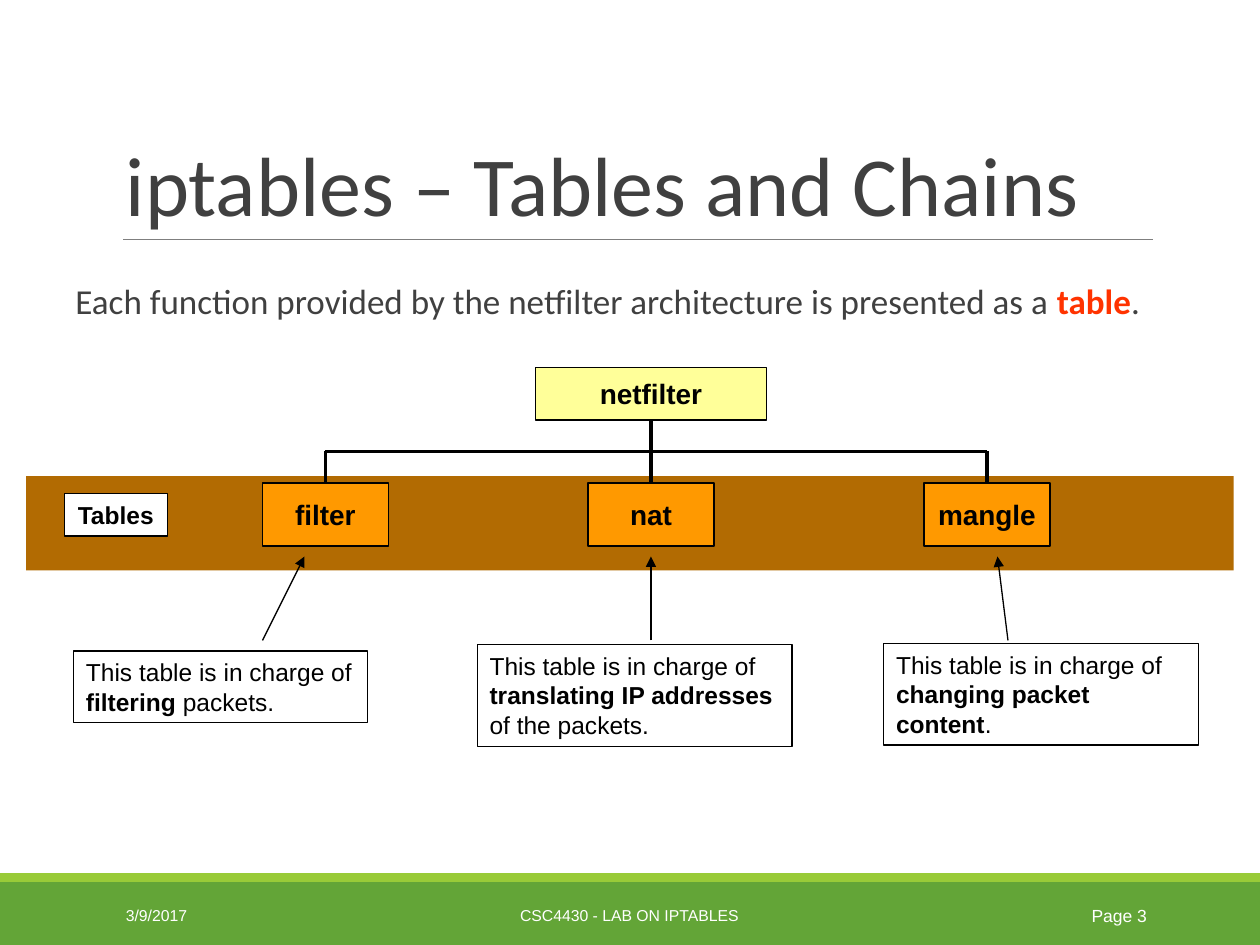
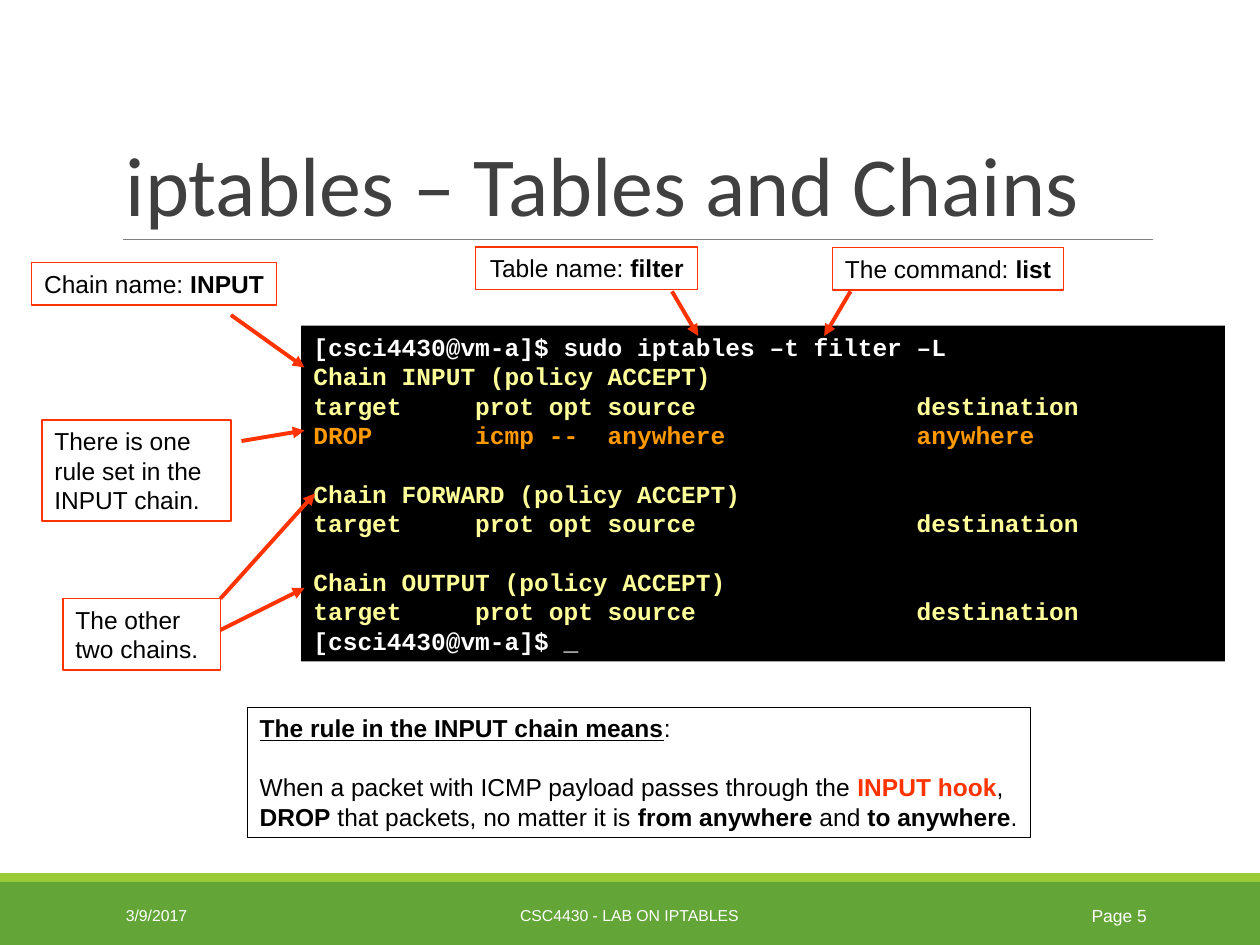
"""Builds two slides on iptables tables and chains."""
from lxml import etree
from pptx import Presentation
from pptx.dml.color import RGBColor
from pptx.enum.shapes import MSO_CONNECTOR, MSO_SHAPE
from pptx.enum.text import MSO_ANCHOR, PP_ALIGN
from pptx.oxml.ns import qn
from pptx.util import Pt

RECT, STRAIGHT = MSO_SHAPE.RECTANGLE, MSO_CONNECTOR.STRAIGHT
TOP, MIDDLE, BOTTOM = MSO_ANCHOR.TOP, MSO_ANCHOR.MIDDLE, MSO_ANCHOR.BOTTOM
LEFT, CENTER, RIGHT = PP_ALIGN.LEFT, PP_ALIGN.CENTER, PP_ALIGN.RIGHT
BLACK, WHITE, GREY = "000000", "FFFFFF", "404040"
RED, ORANGE, YELLOW, BROWN = "FF3300", "FF9900", "FFFF99", "B26B02"
GREEN, LIME, RULE_GREY = "63A537", "99CB38", "7F7F7F"
LINE_14 = Pt(16.8)
BOLD = {"bold": True}
PLAIN = {"name": "Arial", "size": Pt(14), "color": BLACK}


def add_box(slide, place, paragraphs=(), fill=None, outline=None, font=PLAIN,
            align=LEFT, anchor=TOP, wrap=True, spacing=LINE_14, gaps=()):
    """Add a rectangle whose paragraphs are lists of (text, format) runs."""
    box = slide.shapes.add_shape(RECT, *map(Pt, place))
    box.shadow.inherit = False
    for part, color in ((box.fill, fill), (box.line.fill, outline)):
        if color:
            part.solid()
            part.fore_color.rgb = RGBColor.from_string(color)
        else:
            part.background()
    if outline:
        box.line.width = Pt(0.75)
    frame = box.text_frame
    frame.word_wrap = wrap
    frame.vertical_anchor = anchor
    for index, runs in enumerate(paragraphs):
        paragraph = frame.add_paragraph() if index else frame.paragraphs[0]
        paragraph.alignment = align
        paragraph.line_spacing = spacing
        if index in gaps:
            paragraph.space_before = LINE_14
        for text, extra in runs:
            run = paragraph.add_run()
            run.text = text
            for key, value in {**font, **extra}.items():
                if key == "color":
                    run.font.color.rgb = RGBColor.from_string(value)
                else:
                    setattr(run.font, key, value)


def add_line(slide, ends, color, width, arrow=False):
    """Add a straight line, with an arrowhead at its end if wanted."""
    line = slide.shapes.add_connector(STRAIGHT, *map(Pt, ends))
    line.line.color.rgb = RGBColor.from_string(color)
    line.line.width = Pt(width)
    if arrow:
        head = etree.SubElement(line.line._get_or_add_ln(), qn("a:tailEnd"))
        head.set("type", "triangle")
    etree.SubElement(line._element.spPr, qn("a:effectLst"))


prs = Presentation()
prs.slide_width, prs.slide_height = Pt(720), Pt(540)
slides = []
for page in (3, 5):
    slide = prs.slides.add_slide(prs.slide_layouts[6])
    slides.append(slide)
    add_box(slide, (0, 504, 720, 36), fill=GREEN)
    add_box(slide, (0, 499, 720, 5), fill=LIME)
    add_line(slide, (70.5, 136.8, 659, 136.8), RULE_GREY, 0.5)
    add_box(slide, (64.8, 22.3, 594, 114.5), [[("iptables – Tables and Chains", {})]],
            font={"name": "Calibri", "size": Pt(48), "color": GREY},
            anchor=BOTTOM, spacing=0.85)
    for left, width, text, size, align in (
            (64.8, 146, "3/9/2017", 9, LEFT),
            (217.4, 284.4, "CSC4430 - LAB ON IPTABLES", 9, CENTER),
            (584.6, 77.8, f"Page {page}", 10, RIGHT)):
        add_box(slide, (left, 508.5, width, 28.8), [[(text, {})]],
                font={"name": "Arial", "size": Pt(size), "color": WHITE},
                align=align, anchor=MIDDLE, spacing=1.0)
tables_slide, listing_slide = slides

add_box(tables_slide, (36, 159, 660, 96),
        [[("Each function provided by the netfilter architecture is presented as a ", {}),
          ("table", {"color": RED, "bold": True}), (".", {})]],
        font={"name": "Calibri", "size": Pt(20), "color": GREY}, spacing=0.9)
add_box(tables_slide, (15, 272, 690, 54), fill=BROWN)
add_box(tables_slide, (36.8, 282, 58.8, 24.3), [[("Tables", BOLD)]], WHITE, BLACK,
        align=CENTER, wrap=False)

trunk, bus, table_top = 372, 258, 276
node_font = {**PLAIN, **BOLD, "size": Pt(16)}
tables = (
    ("filter", 186, (150, 174), (42, 372, 168, 41),
     [("filtering", BOLD), (" packets.", {})]),
    ("nat", trunk, (372, 372), (272.7, 368.5, 180, 58),
     [("translating IP addresses ", BOLD), ("of the packets.", {})]),
    ("mangle", 564, (576, 570), (505, 367.8, 180, 58),
     [("changing packet content", BOLD), (".", {})]),
)
add_line(tables_slide, (tables[0][1], bus, tables[-1][1], bus), BLACK, 2.25)
add_line(tables_slide, (trunk, bus, trunk, 240), BLACK, 2.25)
add_box(tables_slide, (306, 210, 132, 30), [[("netfilter", {})]], YELLOW, BLACK,
        node_font, CENTER, MIDDLE, False, 1.0)
for name, middle, (tail_x, head_x), note, duty in tables:
    add_line(tables_slide, (middle, table_top, middle, bus), BLACK, 2.25)
    add_box(tables_slide, (middle - 36, table_top, 72, 36), [[(name, {})]], ORANGE, BLACK,
            node_font, CENTER, MIDDLE, False, 1.0)
    add_line(tables_slide, (tail_x, 366, head_x, 318), BLACK, 0.75, True)
    add_box(tables_slide, note, [[("This table is in charge of ", {}), *duty]],
            outline=BLACK)

prompt, chain, rule = {"color": WHITE}, {"color": YELLOW}, {"color": ORANGE}
header = [("target     prot opt source               destination", chain)]
add_box(listing_slide, (172, 186, 528, 192), [
    [("[csci4430@vm-a]$ sudo iptables –t filter –L", prompt)],
    [("Chain INPUT (policy ACCEPT)", chain)],
    header,
    [("DROP       icmp --  anywhere             anywhere", rule)],
    [("Chain FORWARD (policy ACCEPT)", chain)],
    header,
    [("Chain OUTPUT (policy ACCEPT)", chain)],
    header,
    [("[csci4430@vm-a]$ _", prompt)],
], BLACK, font={**PLAIN, **BOLD, "name": "Courier New"}, gaps=(4, 6))

for place, label, term in (
        ((271.8, 141.2, 127, 24.3), "Table name: ", "filter"),
        ((475.7, 141.5, 132, 24.3), "The command: ", "list"),
        ((18, 150, 140, 24.3), "Chain name: ", "INPUT")):
    add_box(listing_slide, place, [[(label, {}), (term, BOLD)]], WHITE, RED,
            align=CENTER, wrap=False)
for place, remark in (
        ((24, 240, 108, 57.8), "There is one rule set in the INPUT chain."),
        ((36, 342, 90, 41), "The other two chains.")):
    add_box(listing_slide, place, [[(remark, {})]], WHITE, RED)
for ends in ((384, 166.5, 399, 192), (486, 166.5, 471, 192), (132, 180, 174, 210),
             (138, 252, 174, 246), (126, 342, 180, 282), (126, 360, 174, 336)):
    add_line(listing_slide, ends, RED, 2.25, True)

add_box(listing_slide, (141.3, 404.2, 447.5, 74.6), [
    [("The rule in the INPUT chain means", {"bold": True, "underline": True}), (":", {})],
    [("When a packet with ICMP payload passes through the ", {}),
     ("INPUT hook", {"color": RED, "bold": True}), (",", {})],
    [("DROP", BOLD), (" that packets, no matter it is ", {}), ("from anywhere", BOLD),
     (" and ", {}), ("to anywhere", BOLD), (".", {})],
], WHITE, BLACK, wrap=False, gaps=(1,))

prs.save("out.pptx")
